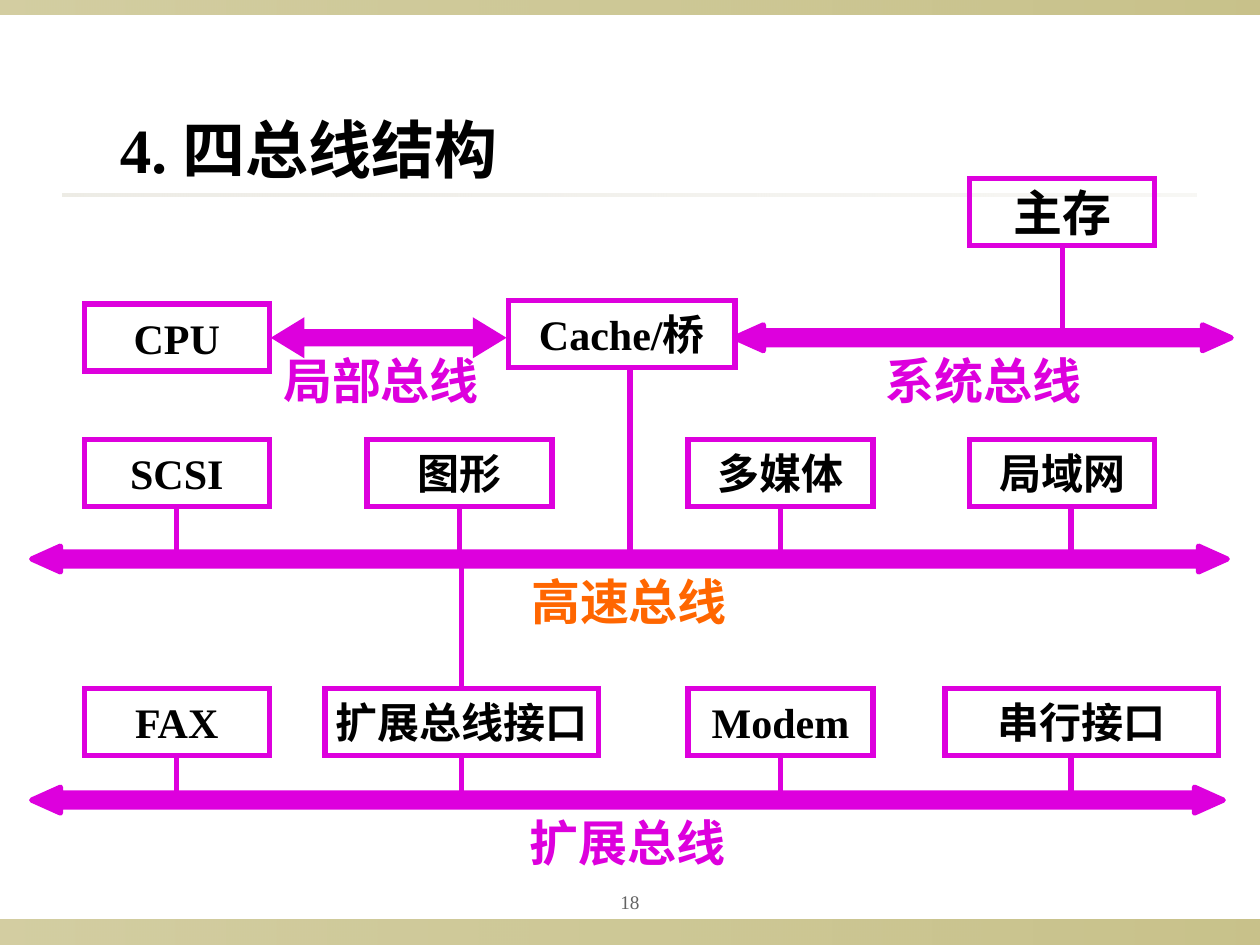
from lxml import etree
from pptx import Presentation
from pptx.dml.color import RGBColor
from pptx.enum.shapes import MSO_CONNECTOR, MSO_SHAPE
from pptx.enum.text import MSO_ANCHOR, PP_ALIGN
from pptx.oxml.ns import qn
from pptx.util import Cm, Pt

RECTANGLE = MSO_SHAPE.RECTANGLE
DOUBLE_ARROW = MSO_SHAPE.LEFT_RIGHT_ARROW
STRAIGHT = MSO_CONNECTOR.STRAIGHT
CENTER, LEFT = PP_ALIGN.CENTER, PP_ALIGN.LEFT
MIDDLE = MSO_ANCHOR.MIDDLE
TOP, BOTTOM = 0, 2  # connection sites of a rectangle

COLORS = {"bus": "DD00DD", "highlight": "FF6600", "text": "000000",
          "number": "636363", "band": "918415", "rule": "DCD9CC"}
LATIN_FONT, CHINESE_FONT = "Times New Roman", "Noto Sans CJK SC"

BOX_WIDTH, WIDE_BOX, BOX_HEIGHT = 3.73, 5.51, 1.35
COLUMNS = (1.7, 7.4, 13.87, 19.55)
CPU_TOP, CACHE_TOP, DEVICE_TOP, INTERFACE_TOP = 6.13, 6.06, 8.86, 13.88
SYSTEM_BUS, FAST_BUS, EXPANSION_BUS = 6.81, 11.27, 16.13


def rgb(name):
    return RGBColor.from_string(COLORS[name])


def style_line(shape, sharp=False):
    """Set the bus line; sharp gives mitred corners."""
    shape.line.color.rgb = rgb("bus")
    shape.line.width = Pt(3)
    if sharp:
        line = shape._element.spPr.find(qn("a:ln"))
        etree.SubElement(line, qn("a:miter")).set("lim", "800000")


def fill_bus(shape, sharp=False):
    shape.shadow.inherit = False
    shape.fill.solid()
    shape.fill.fore_color.rgb = rgb("bus")
    style_line(shape, sharp)


def write_text(shape, text, size, color="text", bold=True, align=CENTER):
    frame = shape.text_frame
    frame_format = {"margin_left": 0, "margin_right": 0, "margin_top": 0,
                    "margin_bottom": 0, "vertical_anchor": MIDDLE,
                    "word_wrap": False}
    for name, value in frame_format.items():
        setattr(frame, name, value)
    paragraph = frame.paragraphs[0]
    paragraph.alignment = align
    run = paragraph.add_run()
    run.text = text
    font_format = {"name": LATIN_FONT, "size": Pt(size), "bold": bold}
    for name, value in font_format.items():
        setattr(run.font, name, value)
    run.font.color.rgb = rgb(color)
    east_asian = etree.SubElement(run._r.get_or_add_rPr(), qn("a:ea"))
    east_asian.set("typeface", CHINESE_FONT)


def add_label(slide, text, left, top, width, height, size, **options):
    label = slide.shapes.add_textbox(Cm(left), Cm(top), Cm(width), Cm(height))
    write_text(label, text, size, **options)


def add_band(slide, left, top, width, height, color, opacities):
    """Add a borderless strip that fades between two opacities (percent)."""
    band = slide.shapes.add_shape(
        RECTANGLE, Cm(left), Cm(top), Cm(width), Cm(height))
    band.shadow.inherit = False
    band.line.fill.background()
    band.fill.gradient()
    band.fill.gradient_angle = 0
    for stop in band.fill.gradient_stops:
        stop.color.rgb = rgb(color)
    for element, opacity in zip(band._element.iter(qn("a:srgbClr")), opacities):
        etree.SubElement(element, qn("a:alpha")).set("val", str(opacity * 1000))


def add_box(slide, text, left, top, width=BOX_WIDTH, size=24):
    box = slide.shapes.add_shape(
        RECTANGLE, Cm(left), Cm(top), Cm(width), Cm(BOX_HEIGHT))
    box.shadow.inherit = False
    box.fill.background()
    style_line(box, sharp=True)
    write_text(box, text, size)
    return box


def add_bus(slide, left, right, middle):
    """Add a double-headed bus arrow centred on the height given."""
    head, half_head, half_shaft = 0.58, 0.26, 0.14
    inner_left, inner_right = left + head, right - head
    points = [(left, middle),
              (inner_left, middle + half_head),
              (inner_left, middle + half_shaft),
              (inner_right, middle + half_shaft),
              (inner_right, middle + half_head),
              (right, middle),
              (inner_right, middle - half_head),
              (inner_right, middle - half_shaft),
              (inner_left, middle - half_shaft),
              (inner_left, middle - half_head)]
    start, *rest = [(Cm(x), Cm(y)) for x, y in points]
    builder = slide.shapes.build_freeform(*start)
    builder.add_line_segments(rest, close=True)
    fill_bus(builder.convert_to_shape())


def add_link(slide, x, top, bottom):
    link = slide.shapes.add_connector(
        STRAIGHT, Cm(x), Cm(top), Cm(x), Cm(bottom))
    style_line(link)
    etree.SubElement(link._element.spPr, qn("a:effectLst"))
    return link


def link_box(slide, box, bus, side=BOTTOM):
    """Join the middle of a box's side to a bus."""
    x = (box.left + box.width / 2) / Cm(1)
    edge = (box.top + (box.height if side == BOTTOM else 0)) / Cm(1)
    if side == BOTTOM:
        add_link(slide, x, edge, bus).begin_connect(box, side)
    else:
        add_link(slide, x, bus, edge).end_connect(box, side)


def add_frame(slide):
    add_band(slide, 0, 18.54, 25.4, 0.51, "band", (40, 50))
    add_band(slide, 0, 0, 25.4, 0.3, "band", (40, 50))
    add_band(slide, 1.27, 3.91, 22.86, 0.05, "rule", (50, 20))
    add_label(slide, "18", 11.43, 17.78, 2.54, 0.79, 11,
              color="number", bold=False)
    add_label(slide, "4. 四总线结构", 2.42, 2.11, 9, 1.78, 36, align=LEFT)


def add_diagram(slide):
    first, second, third, fourth = COLUMNS
    memory = add_box(slide, "主存", fourth, 3.6, size=28)
    add_box(slide, "CPU", first, CPU_TOP)
    add_box(slide, "Cache/桥", 10.25, CACHE_TOP, 4.57)
    devices = [add_box(slide, text, left, DEVICE_TOP) for text, left
               in zip(("SCSI", "图形", "多媒体", "局域网"), COLUMNS)]
    fax = add_box(slide, "FAX", first, INTERFACE_TOP)
    expansion = add_box(slide, "扩展总线接口", 6.55, INTERFACE_TOP, WIDE_BOX)
    modem = add_box(slide, "Modem", third, INTERFACE_TOP)
    add_box(slide, "串行接口", 19.05, INTERFACE_TOP, WIDE_BOX)

    link_box(slide, memory, SYSTEM_BUS)
    for box in devices[:3]:
        link_box(slide, box, FAST_BUS)
    for box in (fax, expansion, modem):
        link_box(slide, box, EXPANSION_BUS)
    link_box(slide, expansion, FAST_BUS, TOP)
    add_link(slide, 12.7, CACHE_TOP + BOX_HEIGHT, FAST_BUS)
    add_link(slide, 21.59, DEVICE_TOP + BOX_HEIGHT, FAST_BUS)
    add_link(slide, 21.59, INTERFACE_TOP + BOX_HEIGHT, EXPANSION_BUS)

    add_bus(slide, 14.81, 24.82, SYSTEM_BUS)
    add_bus(slide, 0.64, 24.74, FAST_BUS)
    add_bus(slide, 0.64, 24.66, EXPANSION_BUS)
    local_bus = slide.shapes.add_shape(
        DOUBLE_ARROW, Cm(5.56), Cm(6.49), Cm(4.55), Cm(0.64))
    local_bus.adjustments[0], local_bus.adjustments[1] = 0.38, 0.82
    fill_bus(local_bus, sharp=True)

    for text, left, top, color in (("局部总线", 5.18, 7.06, "bus"),
                                   ("系统总线", 17.32, 7.06, "bus"),
                                   ("高速总线", 10.18, 11.51, "highlight"),
                                   ("扩展总线", 10.15, 16.38, "bus")):
        add_label(slide, text, left, top, 5, 1.19, 28, color=color)


def main():
    presentation = Presentation()
    presentation.slide_width, presentation.slide_height = Cm(25.4), Cm(19.05)
    slide = presentation.slides.add_slide(presentation.slide_layouts[6])
    add_frame(slide)
    add_diagram(slide)
    presentation.save("out.pptx")


if __name__ == "__main__":
    main()
